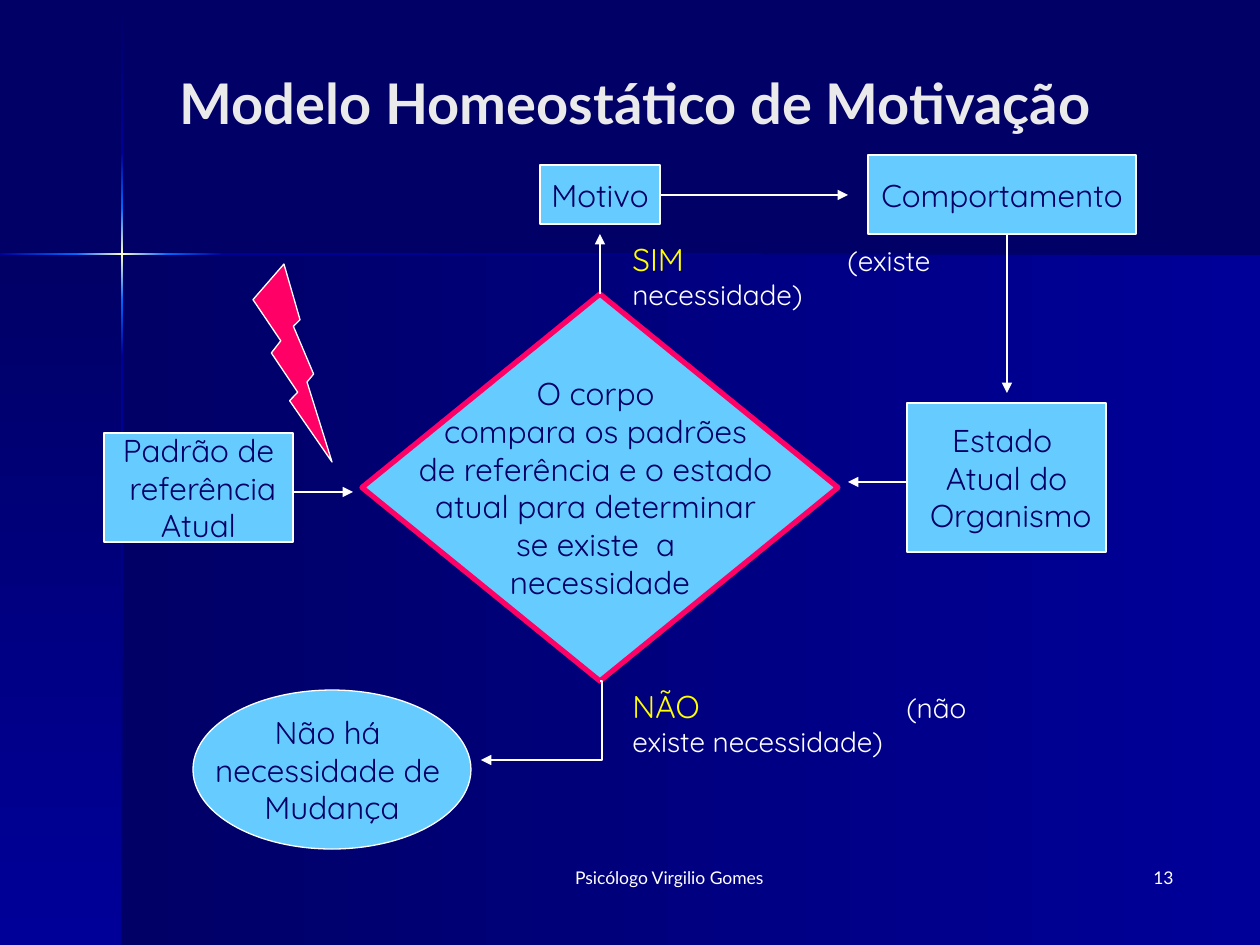
from pptx import Presentation
from pptx import util as u
from pptx.dml.color import RGBColor
from pptx.enum import shapes, text
from pptx.oxml import parse_xml
from pptx.oxml.ns import nsdecls
from pptx.oxml.xmlchemy import OxmlElement

NAVY, BLUE, BRIGHT, GLOW = "000066", "000099", "0066FF", "FFFFCC"
WHITE, SKY, PINK, YELLOW = "FFFFFF", "66CCFF", "FF0066", "FFFF00"
rgb = RGBColor.from_string
SHAPE = shapes.MSO_SHAPE
ALIGN = text.PP_ALIGN


def px(*values):
    """Turn lengths in px (126 to the inch) into EMU."""
    return [u.Emu(round(v * 914400 / 126)) for v in values]


def write(p, words, size=18, color=NAVY, font="Quicksand", bold=False, align=ALIGN.CENTER):
    p.alignment = align
    r = p.add_run()
    r.text = words
    r.font.size = u.Pt(size)
    r.font.name = font
    r.font.bold = bold
    r.font.color.rgb = rgb(color)


prs = Presentation()
prs.slide_width, prs.slide_height = px(1260, 945)
s = prs.slides.add_slide(prs.slide_layouts[6])
s.background.fill.solid()
s.background.fill.fore_color.rgb = rgb(NAVY)

# Background panels and the glowing cross: box, gradient angle, evenly spaced colours
panels = [
    ((122, 255, 1138, 690), 0, (NAVY, BLUE)),
    ((0, 255, 122, 690), 90, (NAVY, BLUE)),
    ((121, 1, 2, 152), 90, (NAVY, BLUE)),
    ((121, 355, 2, 590), 90, (BLUE, NAVY)),
    ((223, 253, 1037, 2), 0, (BLUE, NAVY)),
    ((121, 300, 2, 55), 90, (BRIGHT, BLUE)),
    ((121, 153, 2, 55), 90, (BLUE, BRIGHT)),
    ((121, 208, 2, 92), 90, (BRIGHT, GLOW, BRIGHT)),
    ((0, 253, 76, 2), 0, (BLUE, BRIGHT)),
    ((168, 253, 55, 2), 0, (BRIGHT, BLUE)),
    ((76, 253, 92, 2), 0, (BRIGHT, GLOW, BRIGHT)),
]
for box, angle, colors in panels:
    sp = s.shapes.add_shape(SHAPE.RECTANGLE, *px(*box))
    sp.shadow.inherit = False
    sp.line.fill.background()
    stops = "".join(
        f'<a:gs pos="{100000 * i // (len(colors) - 1)}"><a:srgbClr val="{c}"/></a:gs>'
        for i, c in enumerate(colors))
    sp._element.spPr.insert(2, parse_xml(
        f'<a:gradFill {nsdecls("a")} rotWithShape="1"><a:gsLst>{stops}</a:gsLst>'
        f'<a:lin ang="{angle * 60000}" scaled="0"/></a:gradFill>'))

# Footer, slide number and title
labels = [
    ((472, 861, 399, 63), "Psicólogo Virgilio Gomes ", text.MSO_ANCHOR.TOP,
     dict(size=10, color=WHITE)),
    ((924, 861, 262, 63), "13", text.MSO_ANCHOR.TOP,
     dict(size=10, color=WHITE, align=ALIGN.RIGHT)),
    ((84, 26, 1103, 152), "Modelo Homeostático de Motivação", text.MSO_ANCHOR.MIDDLE,
     dict(size=32, color="EAEAEA", bold=True)),
]
for box, words, anchor, style in labels:
    tf = s.shapes.add_textbox(*px(*box)).text_frame
    tf.word_wrap = True
    tf.vertical_anchor = anchor
    write(tf.paragraphs[0], words, font="Lato", **style)

# Flowchart nodes: preset, box, fill, outline, outline width, lines of text
nodes = [
    (SHAPE.DIAMOND, (362, 294, 476, 387), SKY, PINK, 3,
     ["O corpo ", "compara os padrões ", "de referência e o estado ",
      "atual para determinar ", "se existe  a ", "necessidade"]),
    (SHAPE.OVAL, (193, 690, 278, 159), SKY, WHITE, 0.75,
     ["Não há ", "necessidade de ", "Mudança"]),
    (SHAPE.RECTANGLE, (540, 165, 120, 59), SKY, WHITE, 0.75, ["Motivo"]),
    (SHAPE.RECTANGLE, (907, 403, 199, 149), SKY, WHITE, 0.75,
     ["Estado ", "Atual do", " Organismo"]),
    (SHAPE.RECTANGLE, (104, 433, 189, 109), SKY, WHITE, 0.75,
     ["Padrão de", " referência", "Atual"]),
    (SHAPE.RECTANGLE, (868, 155, 268, 79), SKY, WHITE, 0.75, ["Comportamento"]),
    (SHAPE.LIGHTNING_BOLT, (253, 264, 79, 198), PINK, WHITE, 0.75, []),
]
for preset, box, fill, outline, width, lines in nodes:
    sp = s.shapes.add_shape(preset, *px(*box))
    sp.shadow.inherit = False
    sp.fill.solid()
    sp.fill.fore_color.rgb = rgb(fill)
    sp.line.color.rgb = rgb(outline)
    sp.line.width = u.Pt(width)
    tf = sp.text_frame
    tf.word_wrap = False
    tf.vertical_anchor = text.MSO_ANCHOR.MIDDLE
    for i, line in enumerate(lines):
        write(tf.add_paragraph() if i else tf.paragraphs[0], line)

# Arrows: from x, from y, to x, to y; the last one bends
STRAIGHT, ELBOW = shapes.MSO_CONNECTOR.STRAIGHT, shapes.MSO_CONNECTOR.ELBOW
arrows = [
    (STRAIGHT, (600, 294, 600, 234)),
    (STRAIGHT, (660, 195, 848, 195)),
    (STRAIGHT, (1007, 234, 1007, 393)),
    (STRAIGHT, (908, 482, 848, 482)),
    (STRAIGHT, (293, 492, 353, 492)),
    (ELBOW, (600, 681, 481, 760)),
]
for kind, ends in arrows:
    arrow = s.shapes.add_connector(kind, *px(*ends))
    arrow.line.color.rgb = rgb(WHITE)
    arrow.line.width = u.Pt(0.75)
    spPr = arrow._element.spPr
    tail = OxmlElement("a:tailEnd")
    tail.set("type", "triangle")
    spPr.find(tail.nsmap["a"].join("{}") + "ln").append(tail)
    spPr.append(OxmlElement("a:effectLst"))
    if kind == ELBOW:
        spPr.prstGeom.get_or_add_avLst().append(parse_xml(
            f'<a:gd {nsdecls("a")} name="adj1" fmla="val -1800"/>'))

# Branch labels: box, answer, tab stop, explanation
branches = [
    ((620, 234, 348, 84), "SIM", 215, "(existe necessidade)"),
    ((620, 681, 377, 84), "NÃO", 274, "(não existe necessidade)"),
]
for box, answer, stop, explanation in branches:
    tf = s.shapes.add_textbox(*px(*box)).text_frame
    tf.word_wrap = True
    p = tf.paragraphs[0]
    p._p.get_or_add_pPr().append(parse_xml(
        f'<a:tabLst {nsdecls("a")}><a:tab pos="{px(stop)[0]}" algn="l"/></a:tabLst>'))
    write(p, answer, color=YELLOW, align=ALIGN.LEFT)
    write(p, "\t" + explanation, size=16, color=WHITE, align=ALIGN.LEFT)

prs.save("out.pptx")
